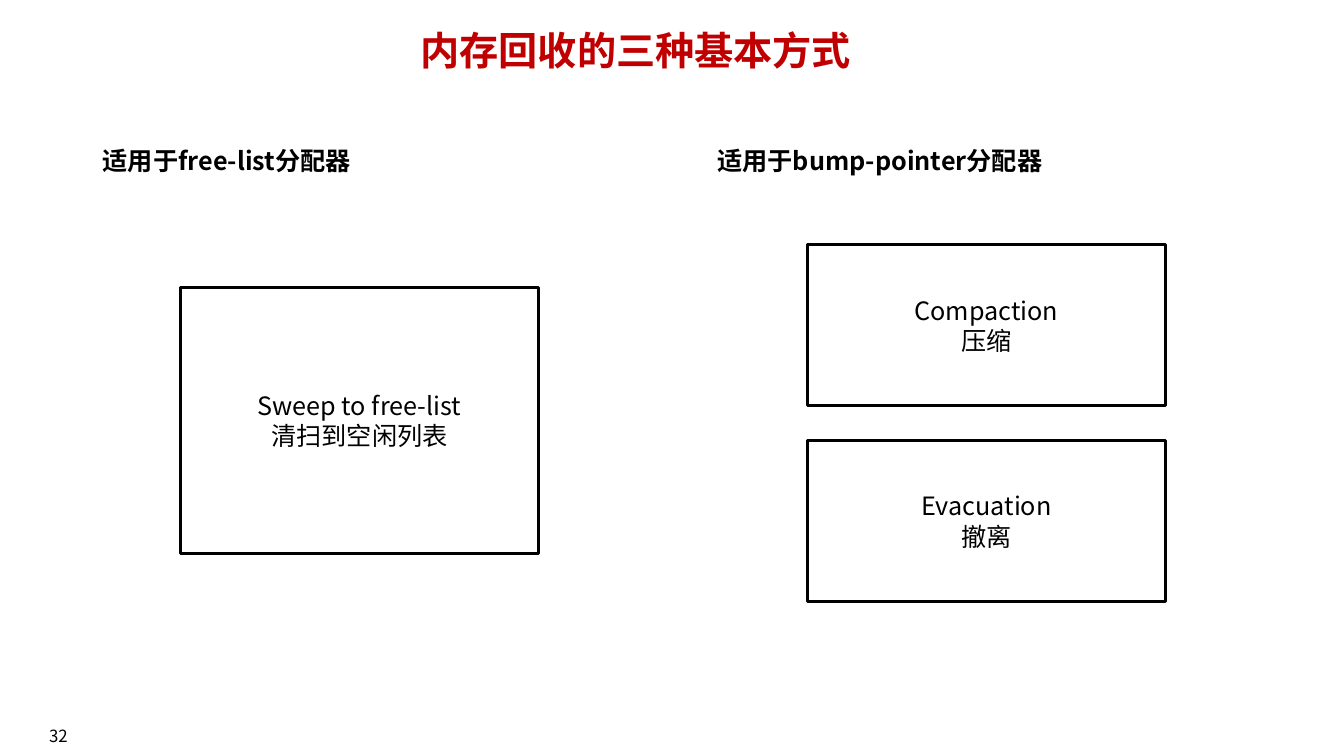
from pptx import Presentation
from pptx import util as u
from pptx.dml.color import RGBColor
from pptx.enum import shapes, text
from pptx.oxml.ns import qn
from lxml import etree

FONT = "Noto Sans CJK SC"
BLACK, WHITE, RED = "000000", "FFFFFF", "C00000"
MID, LEFT = text.PP_ALIGN.CENTER, text.PP_ALIGN.LEFT


def color(code):
    return RGBColor.from_string(code)


def write(shape, lines, size, tint=BLACK, bold=False, align=MID):
    frame = shape.text_frame
    frame.word_wrap = True
    frame.text = "\n".join(lines)
    for para in frame.paragraphs:
        para.alignment = align
        for run in para.runs:
            font = run.font
            font.name, font.size, font.bold = FONT, u.Pt(size), bold
            font.color.rgb = color(tint)
            east = etree.SubElement(run._r.get_or_add_rPr(), qn("a:ea"))
            east.set("typeface", FONT)
    return frame


def label(slide, box, words, size, **look):
    shape = slide.shapes.add_textbox(*map(u.Cm, box))
    return write(shape, [words], size, **look)


def heading(slide, box, words, size, **look):
    frame = label(slide, box, words, size, bold=True, **look)
    frame.margin_top = frame.margin_bottom = 0
    frame.paragraphs[0].line_spacing = 0.9


def card(slide, box, lines):
    rect = slide.shapes.add_shape(shapes.MSO_SHAPE.RECTANGLE, *map(u.Cm, box))
    rect.shadow.inherit = False
    rect.fill.solid()
    rect.fill.fore_color.rgb = color(WHITE)
    rect.line.color.rgb = color(BLACK)
    rect.line.width = u.Pt(2.25)
    write(rect, lines, 18).vertical_anchor = text.MSO_ANCHOR.MIDDLE


def column(slide, box, title, inset, drop, high, cards):
    left, top, width, height = box
    gap = 0.87
    heading(slide, (left, top, width, 0.97), title, 18, align=LEFT)
    for row, lines in enumerate(cards):
        y = top + drop + row * (high + gap)
        card(slide, (left + inset, y, 9.02, high), lines)


def number(slide, box, value):
    frame = label(slide, box, value, 12)
    frame.vertical_anchor = text.MSO_ANCHOR.MIDDLE


def main():
    deck = Presentation()
    deck.slide_width, deck.slide_height = u.Cm(33.87), u.Cm(19.05)
    slide = deck.slides.add_slide(deck.slide_layouts[6])
    number(slide, (0, 18.03, 2.95, 1.02), "32")
    heading(slide, (1.42, 0.79, 29.21, 1.65), "内存回收的三种基本方式", 28, tint=RED)
    column(slide, (2.34, 3.76, 13.7, 11.4), "适用于free-list分配器", 2.21, 3.48, 6.71,
           [("Sweep to free-list", "清扫到空闲列表")])
    column(slide, (17.83, 3.76, 13.7, 11.4), "适用于bump-pointer分配器", 2.52, 2.41, 4.06,
           [("Compaction", "压缩"), ("Evacuation", "撤离")])
    deck.save("out.pptx")


if __name__ == "__main__":
    main()
